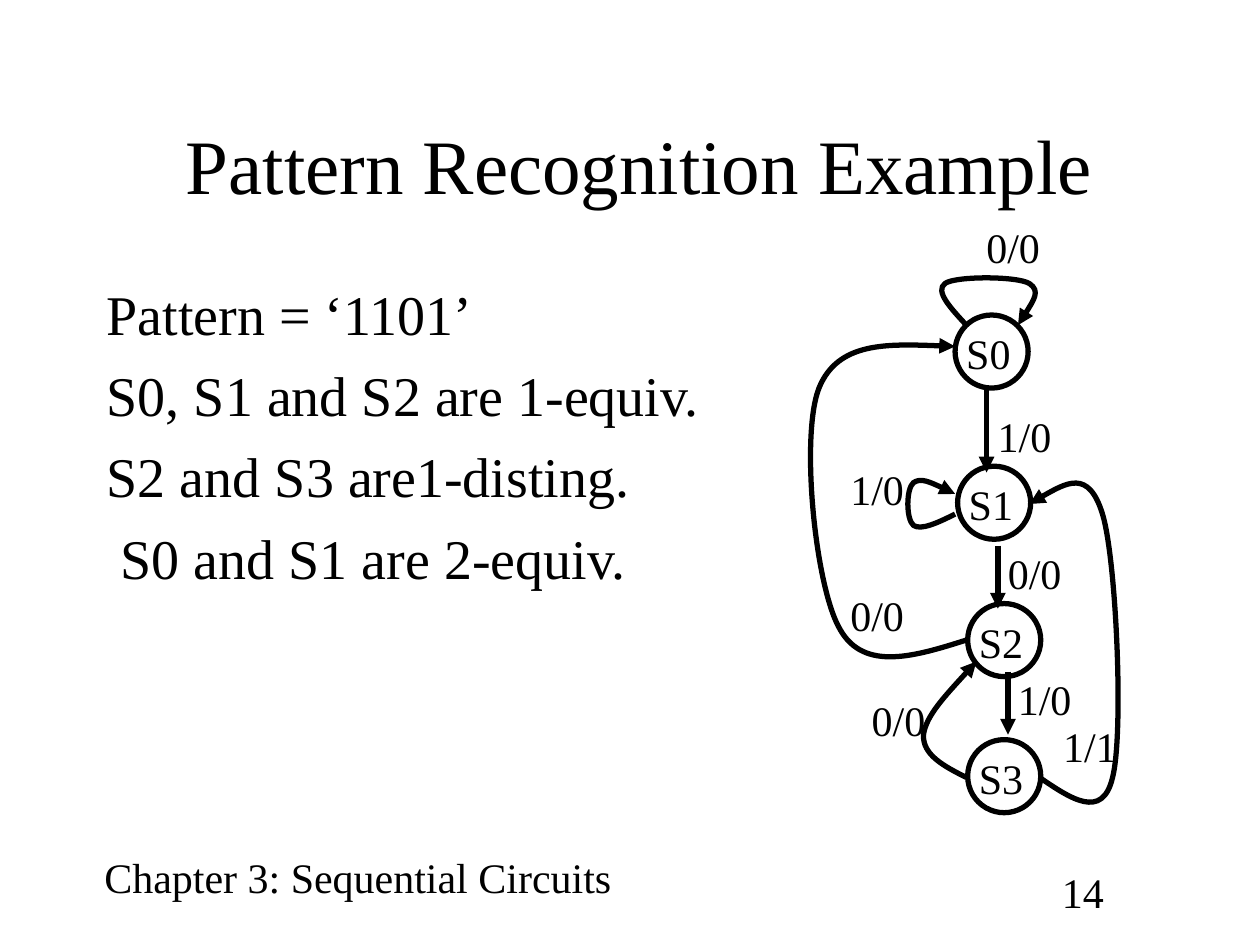
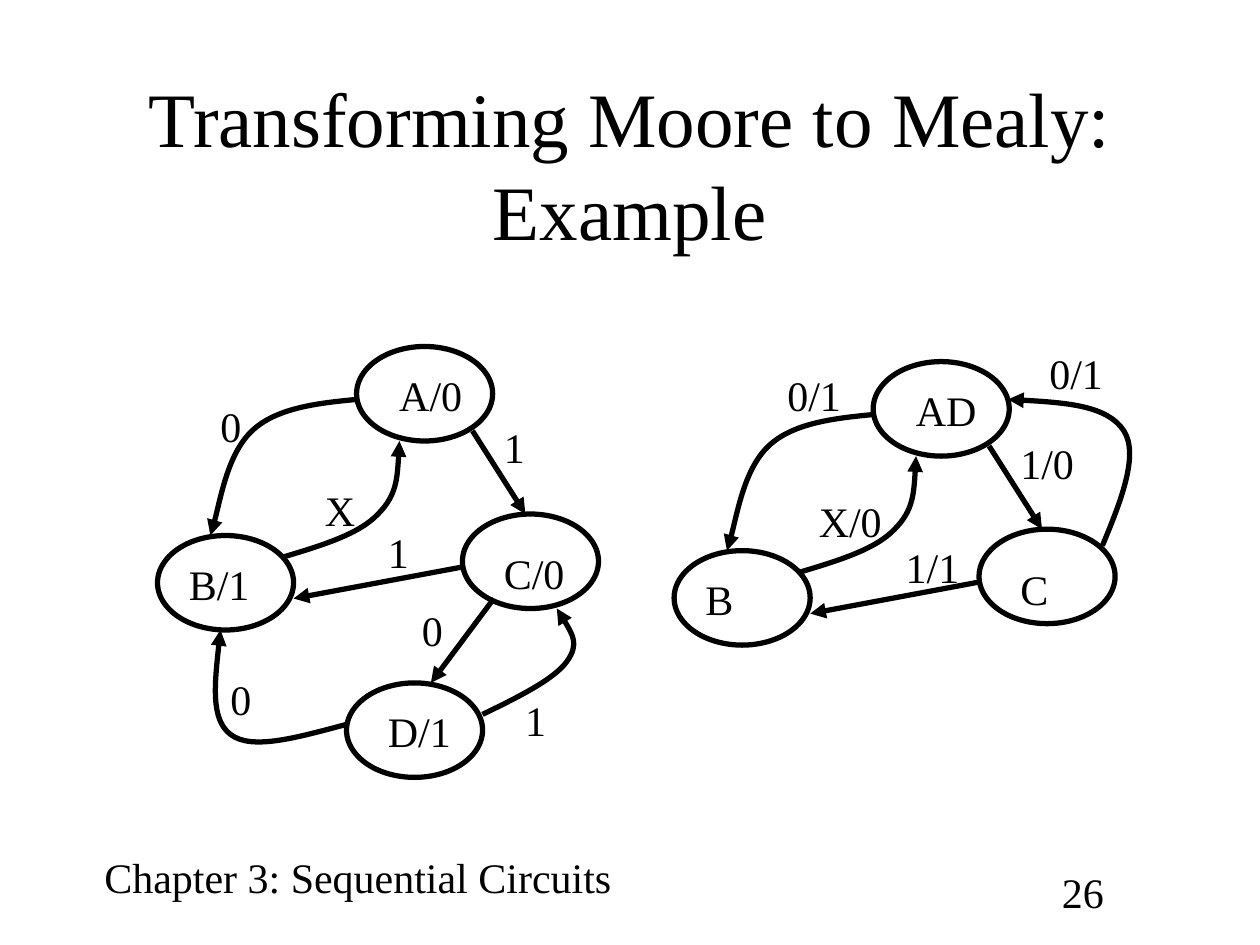
import lxml.etree
import pptx
import pptx.dml.color
import pptx.enum.shapes
import pptx.enum.text
import pptx.oxml.ns
import pptx.util

Inches = pptx.util.Inches
qn = pptx.oxml.ns.qn

BLACK = pptx.dml.color.RGBColor(0x00, 0x00, 0x00)
WHITE = pptx.dml.color.RGBColor(0xFF, 0xFF, 0xFF)
FONT = "Times New Roman"
LABEL_SIZE, BODY_SIZE, TITLE_SIZE = 24, 32, 44
LABEL_HEIGHT = 0.5
LINE_WIDTH = 3
FOOTER = "Chapter 3: Sequential Circuits"

# Letter widths of the label text in inches; digits are the default
LETTER_WIDTHS = {"/": 0.09, "S": 0.19, "A": 0.24, "B": 0.22,
                 "C": 0.22, "D": 0.24, "X": 0.24}
DIGIT_WIDTH = 0.17


def set_all(target, values):
    for name, value in values.items():
        setattr(target, name, value)


class Deck:
    """Holds the shared style and the slide being drawn."""

    def __init__(self):
        self.presentation = pptx.Presentation()
        set_all(self.presentation, {"slide_width": Inches(10),
                                    "slide_height": Inches(7.5)})
        self.slide = None

    def add_slide(self, title, number, title_shift=0):
        layout = self.presentation.slide_layouts[6]
        self.slide = self.presentation.slides.add_slide(layout)
        fill = self.slide.background.fill
        fill.solid()
        fill.fore_color.rgb = WHITE
        # Footer and page number
        self.text([FOOTER], 0.73, 6.71, 4.47, LABEL_HEIGHT, wrap=False)
        self.text([str(number)], 8.33, 6.83, 0.92, LABEL_HEIGHT)
        # Title
        frame = self.text([title], 0.75, 0.67, 8.5, 1.25, TITLE_SIZE)
        set_all(frame, {"vertical_anchor": pptx.enum.text.MSO_ANCHOR.MIDDLE,
                        "margin_left": Inches(0.1 + title_shift)})
        frame.paragraphs[0].alignment = pptx.enum.text.PP_ALIGN.CENTER

    def text(self, lines, left, top, width, height, size=LABEL_SIZE, wrap=True):
        box = self.slide.shapes.add_textbox(
            Inches(left), Inches(top), Inches(width), Inches(height))
        frame = box.text_frame
        frame.word_wrap = wrap
        for index, line in enumerate(lines):
            paragraph = frame.paragraphs[0] if index == 0 else frame.add_paragraph()
            paragraph.text = line
            if index:
                paragraph.space_before = pptx.util.Pt(8)
            set_all(paragraph.font, {"name": FONT, "size": pptx.util.Pt(size)})
            paragraph.font.color.rgb = BLACK
        return frame

    def label(self, text, left, top):
        width = 0.2 + sum(LETTER_WIDTHS.get(letter, DIGIT_WIDTH) for letter in text)
        self.text([text], left, top, width, LABEL_HEIGHT, wrap=False)

    def labels(self, items):
        for item in items:
            self.label(*item)

    def outline(self, shape):
        shape.line.color.rgb = BLACK
        shape.line.width = pptx.util.Pt(LINE_WIDTH)

    def arrowhead(self, shape):
        line = shape.element.spPr.find(qn("a:ln"))
        lxml.etree.SubElement(line, qn("a:tailEnd"), type="triangle")

    def state(self, name, left, top, width, height, label_offset):
        ellipse = self.slide.shapes.add_shape(
            pptx.enum.shapes.MSO_SHAPE.OVAL,
            Inches(left), Inches(top), Inches(width), Inches(height))
        ellipse.shadow.inherit = False
        ellipse.fill.background()
        self.outline(ellipse)
        self.label(name, left + label_offset[0], top + label_offset[1])

    def arrow(self, start, end):
        connector = self.slide.shapes.add_connector(
            pptx.enum.shapes.MSO_CONNECTOR.STRAIGHT,
            *(Inches(value) for value in (*start, *end)))
        self.outline(connector)
        self.arrowhead(connector)
        lxml.etree.SubElement(connector.element.spPr, qn("a:effectLst"))

    def curve(self, *points):
        """Draw a Bezier arrow: a start, then two handles and an end per part."""
        start, *others = [(Inches(x), Inches(y)) for x, y in points]
        builder = self.slide.shapes.build_freeform(*start)
        builder.add_line_segments(others, close=False)
        shape = builder.convert_to_shape()
        shape.shadow.inherit = False
        shape.fill.background()
        self.outline(shape)
        self.arrowhead(shape)
        # Turn every three straight segments into one cubic segment
        outline = shape.element.find(".//" + qn("a:path"))
        segments = outline.findall(qn("a:lnTo"))
        for first in range(0, len(segments), 3):
            cubic = lxml.etree.SubElement(outline, qn("a:cubicBezTo"))
            for segment in segments[first:first + 3]:
                cubic.append(segment[0])
                outline.remove(segment)


def draw_pattern_slide(deck):
    deck.add_slide("Pattern Recognition Example", 14, title_shift=0.15)
    frame = deck.text(
        ["Pattern = ‘1101’", "S0, S1 and S2 are 1-equiv.",
         "S2 and S3 are1-disting.", "S0 and S1 are 2-equiv."],
        0.75, 2.17, 8.5, 4.5, BODY_SIZE)
    # Hanging indent; the last line starts slightly further in
    for paragraph, first_line in zip(frame.paragraphs, (0, 0, 0, 0.11)):
        properties = paragraph._p.get_or_add_pPr()
        properties.set("marL", str(Inches(0.38)))
        properties.set("indent", str(Inches(first_line - 0.38)))

    # States from top to bottom
    corners = [(7.58, 2.5), (7.6, 3.7), (7.68, 4.79), (7.68, 5.87)]
    for index, (left, top) in enumerate(corners):
        deck.state(f"S{index}", left, top, 0.58, 0.58, (-0.01, 0.05))

    # Transitions to the next state
    for x, top, bottom in [(7.83, 3.08, 3.75), (7.92, 4.33, 4.83), (8, 5.33, 5.83)]:
        deck.arrow((x, top), (x, bottom))

    # Loops on S0 and S1
    deck.curve((7.67, 2.58), (7.54, 2.44), (7.42, 2.31), (7.5, 2.25),
               (7.58, 2.19), (8.07, 2.19), (8.17, 2.25),
               (8.26, 2.31), (8.17, 2.44), (8.08, 2.58))
    deck.curve((7.58, 4.08), (7.44, 4.15), (7.31, 4.21), (7.25, 4.17),
               (7.19, 4.12), (7.19, 3.88), (7.25, 3.83),
               (7.31, 3.79), (7.44, 3.85), (7.58, 3.92))
    # Returns: S2 to S0, S3 to S1, S3 to S2
    deck.curve((7.67, 5.08), (7.26, 5.21), (6.86, 5.33), (6.67, 5),
               (6.47, 4.67), (6.35, 3.46), (6.5, 3.08),
               (6.65, 2.71), (7.12, 2.73), (7.58, 2.75))
    deck.curve((8.25, 6.17), (8.5, 6.34), (8.75, 6.51), (8.83, 6.17),
               (8.92, 5.82), (8.86, 4.44), (8.75, 4.08),
               (8.64, 3.72), (8.4, 3.86), (8.17, 4))
    deck.curve((7.67, 6.17), (7.49, 6.08), (7.32, 5.99), (7.33, 5.83),
               (7.35, 5.68), (7.55, 5.47), (7.75, 5.25))

    deck.labels([("0/0", 7.73, 1.71), ("1/0", 7.82, 3.21), ("1/0", 6.65, 3.63),
                 ("0/0", 7.9, 4.3), ("0/0", 6.65, 4.63), ("1/0", 7.98, 5.3),
                 ("1/1", 8.34, 5.67), ("0/0", 6.82, 5.46)])


def draw_ellipse_state(deck, name, left, top, label_offset):
    deck.state(name, left, top, 1.08, 0.75, label_offset)


def draw_three_states(deck, names, right=0, down=0):
    """Draw the triangle of states that both machines share."""
    def move(*points):
        return [(x + right, y + down) for x, y in points]

    corners = move((2.83, 2.75), (1.25, 4.25), (3.67, 4.08))
    offsets = [(0.24, 0.13), (0.15, 0.13), (0.23, 0.22)]
    for name, corner, offset in zip(names, corners, offsets):
        draw_ellipse_state(deck, name, *corner, offset)
    # Top to left, left to top, top to right, right to left
    deck.curve(*move((2.83, 3.17), (2.51, 3.2), (2.19, 3.24), (2, 3.42),
                     (1.81, 3.6), (1.72, 4.11), (1.67, 4.25)))
    deck.curve(*move((2.25, 4.42), (2.55, 4.33), (2.85, 4.24), (3, 4.08),
                     (3.15, 3.93), (3.16, 3.72), (3.17, 3.5)))
    deck.arrow(*move((3.75, 3.42), (4.17, 4.08)))
    deck.arrow(*move((3.67, 4.5), (2.33, 4.75)))


def draw_moore_to_mealy_slide(deck):
    deck.add_slide("Transforming Moore to Mealy: Example", 26)

    # Moore machine, with the extra state D
    draw_three_states(deck, ["A/0", "B/1", "C/0"])
    draw_ellipse_state(deck, "D/1", 2.75, 5.42, (0.23, 0.13))
    deck.arrow((3.92, 4.75), (3.42, 5.42))
    deck.curve((3.83, 5.67), (4.12, 5.53), (4.4, 5.39), (4.5, 5.25),
               (4.6, 5.11), (4.51, 4.97), (4.42, 4.83))
    deck.curve((2.75, 5.75), (2.37, 5.85), (2, 5.96), (1.83, 5.83),
               (1.67, 5.71), (1.71, 5.35), (1.75, 5))
    deck.labels([("1", 3.9, 3.3), ("0", 1.65, 3.13), ("X", 2.48, 3.8),
                 ("0", 1.73, 5.3), ("1", 4.07, 5.46), ("1", 2.98, 4.13),
                 ("0", 3.25, 4.75)])

    # Mealy machine, with A and D merged
    draw_three_states(deck, ["AD", "B", "C"], right=4.1, down=0.12)
    deck.curve((8.75, 4.33), (8.9, 3.97), (9.04, 3.61), (8.92, 3.42),
               (8.79, 3.22), (8.4, 3.19), (8, 3.17))
    deck.labels([("1/0", 8, 3.42), ("1/1", 7.09, 4.25), ("0/1", 8.23, 2.71),
                 ("0/1", 6.15, 2.88), ("X/0", 6.4, 3.88)])


def main():
    deck = Deck()
    draw_pattern_slide(deck)
    draw_moore_to_mealy_slide(deck)
    deck.presentation.save("out.pptx")


if __name__ == "__main__":
    main()
